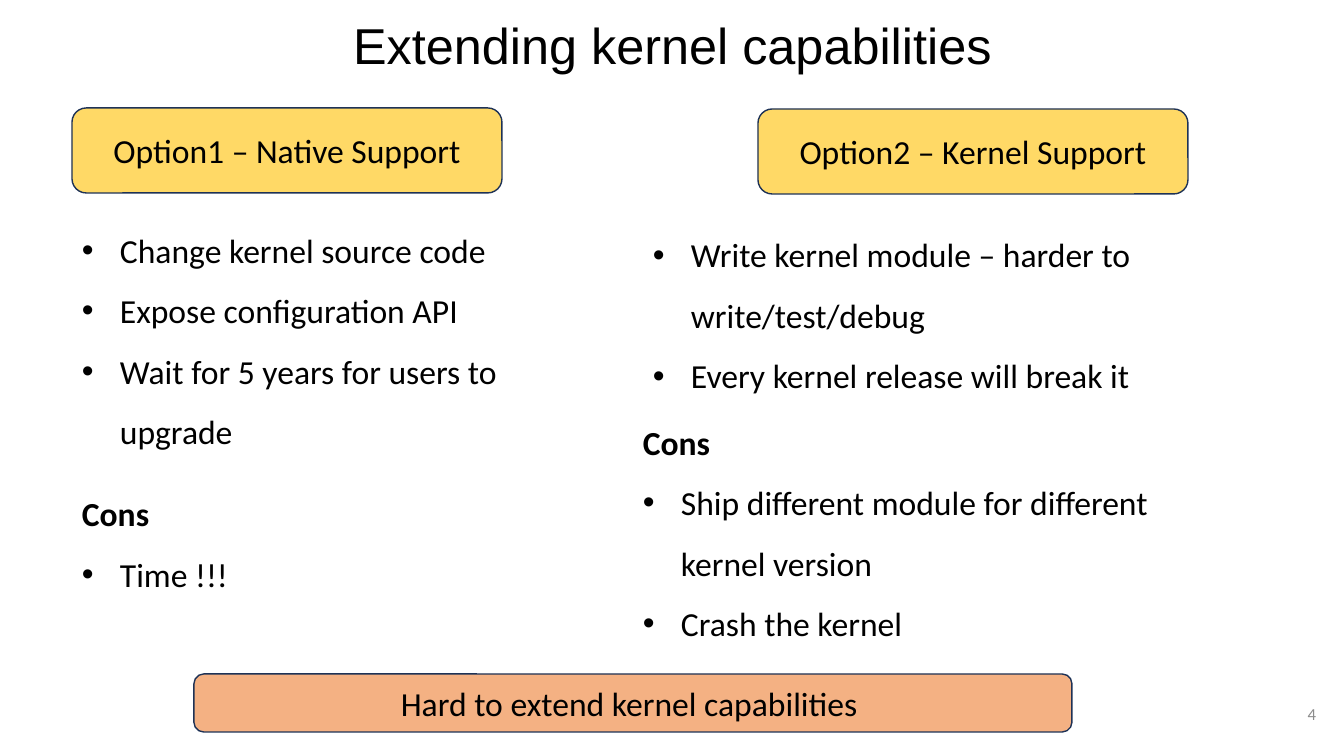
"""Build the slide that compares two ways of extending kernel capabilities."""
from dataclasses import dataclass

from lxml import etree
from pptx import Presentation
from pptx.dml.color import RGBColor
from pptx.enum.shapes import MSO_SHAPE
from pptx.enum.text import MSO_ANCHOR, MSO_AUTO_SIZE, PP_ALIGN
from pptx.oxml.ns import qn
from pptx.util import Emu, Pt

ROUNDED = MSO_SHAPE.ROUNDED_RECTANGLE
MIDDLE = MSO_ANCHOR.MIDDLE
NO_FIT = MSO_AUTO_SIZE.NONE
LEFT, CENTER, RIGHT = PP_ALIGN.LEFT, PP_ALIGN.CENTER, PP_ALIGN.RIGHT
EMU_PER_PX = 914400 / 100.8
TITLE_ONLY = 5


def px(length):
    """Turn whole pixels into EMU."""
    return Emu(round(length * EMU_PER_PX))


@dataclass(frozen=True)
class Theme:
    """Colours, fonts and type sizes of the slide."""
    ink: str = "000000"
    muted: str = "8C8C8C"
    outline: str = "1E3256"
    option: str = "FFD966"
    verdict: str = "F4B183"
    title_font: str = "Arial"
    body_font: str = "Calibri"
    title_size: int = 36
    body_size: int = 24
    number_size: int = 12
    bullet_indent: int = 38


class SlideBuilder:
    """Holds the theme and the current slide."""

    def __init__(self, slide, theme):
        self.slide = slide
        self.theme = theme

    def prepare(self, frame):
        """Set wrapping and anchoring of a text frame."""
        frame.word_wrap = True
        frame.auto_size = NO_FIT
        frame.vertical_anchor = MIDDLE

    def set_text(self, paragraph, text, align=LEFT, size=None, color=None,
                 font=None, bold=False, spacing=1.0):
        """Fill and format one paragraph."""
        paragraph.text = text
        paragraph.alignment = align
        paragraph.line_spacing = spacing
        paragraph.font.name = font or self.theme.body_font
        paragraph.font.size = Pt(size or self.theme.body_size)
        paragraph.font.bold = bold
        paragraph.font.color.rgb = RGBColor.from_string(color or self.theme.ink)

    def add_bullet(self, paragraph):
        """Give a paragraph a hanging bullet."""
        indent = px(self.theme.bullet_indent)
        properties = paragraph._p.get_or_add_pPr()
        properties.set("marL", str(indent))
        properties.set("indent", str(-indent))
        bullet_font = etree.Element(qn("a:buFont"), typeface="Arial")
        bullet = etree.Element(qn("a:buChar"), char="•")
        defaults = properties.find(qn("a:defRPr"))
        defaults.addprevious(bullet_font)
        defaults.addprevious(bullet)

    def title(self, text, left, top, width, height):
        """Place the slide title."""
        heading = self.slide.shapes.title
        heading.left, heading.top = px(left), px(top)
        heading.width, heading.height = px(width), px(height)
        self.prepare(heading.text_frame)
        self.set_text(heading.text_frame.paragraphs[0], text, CENTER,
                      self.theme.title_size, font=self.theme.title_font,
                      spacing=0.9)

    def banner(self, text, fill, left, top, width, height):
        """Draw a rounded box with centred text."""
        box = self.slide.shapes.add_shape(
            ROUNDED, px(left), px(top), px(width), px(height))
        box.shadow.inherit = False
        box.fill.solid()
        box.fill.fore_color.rgb = RGBColor.from_string(fill)
        box.line.color.rgb = RGBColor.from_string(self.theme.outline)
        box.line.width = Pt(1)
        self.prepare(box.text_frame)
        self.set_text(box.text_frame.paragraphs[0], text, CENTER)

    def text_frame(self, left, top, width, height):
        """Add an empty text box and return its frame."""
        frame = self.slide.shapes.add_textbox(
            px(left), px(top), px(width), px(height)).text_frame
        self.prepare(frame)
        return frame

    def points(self, items, left, top, width, height, heading=None):
        """Add a bulleted list under an optional bold heading."""
        frame = self.text_frame(left, top, width, height)
        lines = ([heading] if heading else []) + items
        for index, line in enumerate(lines):
            paragraph = frame.add_paragraph() if index else frame.paragraphs[0]
            is_heading = bool(heading) and index == 0
            self.set_text(paragraph, line, bold=is_heading, spacing=1.5)
            if not is_heading:
                self.add_bullet(paragraph)

    def page_number(self, number, left, top, width, height):
        """Add the page number."""
        frame = self.text_frame(left, top, width, height)
        self.set_text(frame.paragraphs[0], number, RIGHT,
                      self.theme.number_size, self.theme.muted)


def main():
    """Create the presentation and save it."""
    deck = Presentation()
    deck.slide_width, deck.slide_height = px(1344), px(756)
    theme = Theme()
    page = SlideBuilder(
        deck.slides.add_slide(deck.slide_layouts[TITLE_ONLY]), theme)

    page.title("Extending kernel capabilities", 93, 6, 1159, 85)
    page.banner("Option1 – Native Support", theme.option, 72, 108, 430, 85)
    page.banner("Option2 – Kernel Support", theme.option, 758, 109, 430, 85)
    page.points(["Change kernel source code",
                 "Expose configuration API",
                 "Wait for 5 years for users to upgrade"], 72, 192, 453, 277)
    page.points(["Write kernel module – harder to write/test/debug",
                 "Every kernel release will break it"], 643, 198, 640, 214)
    page.points(["Time !!!"], 72, 473, 430, 121, heading="Cons")
    page.points(["Ship different module for different kernel version",
                 "Crash the kernel"], 633, 384, 589, 277, heading="Cons")
    page.banner("Hard to extend kernel capabilities ", theme.verdict,
                194, 674, 878, 58)
    page.page_number("4", 1245, 685, 81, 57)
    deck.save("out.pptx")


if __name__ == "__main__":
    main()
